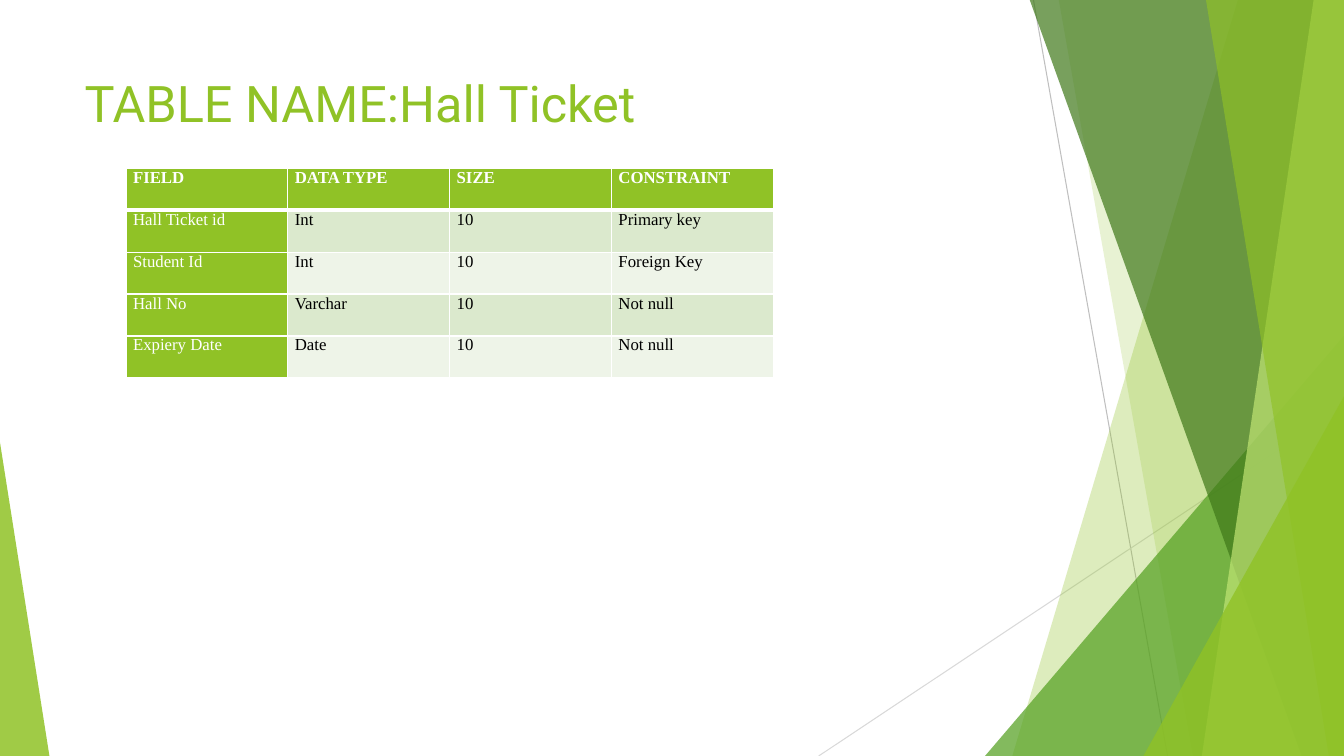
from lxml import etree
from pptx import Presentation
from pptx.dml.color import RGBColor
from pptx.enum.shapes import MSO_CONNECTOR, MSO_SHAPE
from pptx.enum.text import MSO_ANCHOR
from pptx.oxml.ns import qn
from pptx.util import Pt

PX = 9144  # EMU per px, 100 px to the inch
SLIDE_W, SLIDE_H = 1333, 750
STRAIGHT = MSO_CONNECTOR.STRAIGHT
TRIANGLE = MSO_SHAPE.ISOSCELES_TRIANGLE
TOP = MSO_ANCHOR.TOP

WHITE = RGBColor(0xFF, 0xFF, 0xFF)
BLACK = RGBColor(0, 0, 0)
LIME = RGBColor(0x90, 0xC2, 0x26)
PALE_LIME = RGBColor(0xC0, 0xE4, 0x74)
GREEN = RGBColor(0x54, 0xA0, 0x21)
DARK_GREEN = RGBColor(0x3F, 0x78, 0x19)
BANDS = RGBColor(0xDB, 0xE9, 0xCD), RGBColor(0xEE, 0xF4, 0xE8)
GREY = RGBColor(0xBF, 0xBF, 0xBF)
LIGHT_GREY = RGBColor(0xD9, 0xD9, 0xD9)

TITLE = "TABLE NAME:Hall Ticket"
ROWS = [
    ("FIELD", "DATA TYPE", "SIZE", "CONSTRAINT"),
    ("Hall Ticket id", "Int", "10", "Primary key"),
    ("Student Id", "Int", "10", "Foreign Key"),
    ("Hall No", "Varchar", "10", "Not null"),
    ("Expiery Date", "Date", "10", "Not null"),
]

# Ray: start x, y, end x, y within the band, colour
RAYS = [(213, 0, 346, 750, GREY), (521, 403, 0, 750, LIGHT_GREY)]
# Shard: left edge at top and at bottom; wedge: left and top; then colour, opacity %
PANELS = [
    ("shard", 416, 192, LIME, 30),
    ("shard", 238, 371, LIME, 20),
    ("wedge", 165, 333, GREEN, 72),
    ("shard", 209, 479, DARK_GREEN, 70),
    ("shard", 491, 380, PALE_LIME, 70),
    ("shard", 384, 506, LIME, 65),
    ("wedge", 322, 393, LIME, 80),
]


def set_attrs(obj, values):
    for name, value in values.items():
        setattr(obj, name, value)


def paint(s, color, opacity):
    s.shadow.inherit = False
    s.line.fill.background()
    s.fill.solid()
    s.fill.fore_color.rgb = color
    clr = s.fill._xPr.find(qn("a:solidFill"))[0]
    etree.SubElement(clr, qn("a:alpha"), val=str(opacity * 1000))


def add_wedge(sp, x, y, w, h, apex, color, opacity):
    s = sp.add_shape(TRIANGLE, x * PX, y * PX, w * PX, h * PX)
    s.adjustments[0] = apex
    paint(s, color, opacity)


def add_shard(sp, top_x, bottom_x, right, top, bottom, color, opacity):
    builder = sp.build_freeform(top_x, top, scale=PX)
    builder.add_line_segments([(right, top), (right, bottom), (bottom_x, bottom)])
    paint(builder.convert_to_shape(), color, opacity)


def add_facets(sp, x, y, w, h):
    # Thin rays behind the panels
    for x1, y1, x2, y2, color in RAYS:
        ray = sp.add_connector(STRAIGHT, (x + x1) * PX, (y + y1) * PX,
                               (x + x2) * PX, (y + y2) * PX)
        ray.line.color.rgb = color
        ray.line.width = Pt(0.75)
        etree.SubElement(ray._element.spPr, qn("a:effectLst"))
    # Translucent panels, all reaching the right edge
    for kind, a, b, color, opacity in PANELS:
        if kind == "shard":
            add_shard(sp, x + a, x + b, x + w, y - 1, y + h, color, opacity)
        else:
            add_wedge(sp, x + a, y + b, w - a, h - b, 1, color, opacity)


def add_title(sp, x, y, w, h):
    tf = sp.add_textbox(x * PX, y * PX, w * PX, h * PX).text_frame
    set_attrs(tf, {"word_wrap": True, "vertical_anchor": TOP})
    r = tf.paragraphs[0].add_run()
    r.text = TITLE
    set_attrs(r.font, {"name": "Roboto", "size": Pt(36)})
    r.font.color.rgb = LIME


def add_border(cell, side, points):
    ln = etree.SubElement(cell._tc.get_or_add_tcPr(), qn("a:" + side),
                          w=str(Pt(points)))
    fill = etree.SubElement(ln, qn("a:solidFill"))
    etree.SubElement(fill, qn("a:srgbClr"), val=str(WHITE))


def format_cell(cell, text, i, j):
    header = i == 0
    accent = header or j == 0
    set_attrs(cell, {"margin_left": 7 * PX, "margin_right": 7 * PX,
                     "margin_top": 0, "margin_bottom": 0, "vertical_anchor": TOP})
    # White rules, heavier under the header
    for side, heavy in (("lnL", False), ("lnR", False),
                        ("lnT", i == 1), ("lnB", header)):
        add_border(cell, side, 3 if heavy else 1)
    cell.fill.solid()
    cell.fill.fore_color.rgb = LIME if accent else BANDS[(i - 1) % 2]
    r = cell.text_frame.paragraphs[0].add_run()
    r.text = text
    set_attrs(r.font, {"name": "Times New Roman", "size": Pt(12), "bold": header})
    r.font.color.rgb = WHITE if accent else BLACK


def add_fields_table(sp, x, y, w, h):
    n_rows, n_cols = len(ROWS), len(ROWS[0])
    table = sp.add_table(n_rows, n_cols, x * PX, y * PX, w * PX, h * PX).table
    set_attrs(table, {"first_row": True, "first_col": True, "horz_banding": True})
    for i, row in enumerate(ROWS):
        for j, text in enumerate(row):
            format_cell(table.cell(i, j), text, i, j)


def main():
    prs = Presentation()
    set_attrs(prs, {"slide_width": SLIDE_W * PX, "slide_height": SLIDE_H * PX})
    sp = prs.slides.add_slide(prs.slide_layouts[6]).shapes
    add_facets(sp, 812, 0, 521, SLIDE_H)
    add_wedge(sp, 0, 439, 49, 311, 0, LIME, 85)
    add_title(sp, 74, 67, 940, 144)
    add_fields_table(sp, 125, 167, 642, 208)
    prs.save("out.pptx")


if __name__ == "__main__":
    main()
